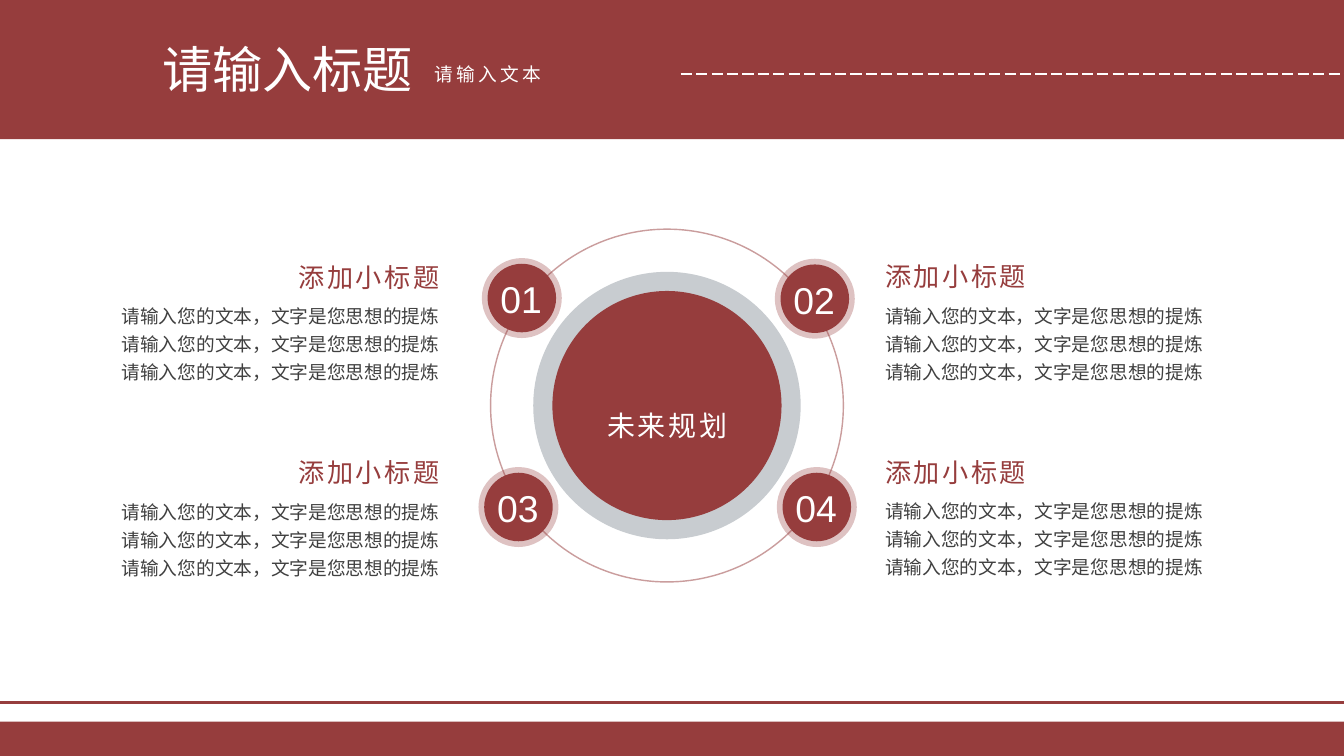
from lxml.etree import SubElement
from pptx import Presentation
from pptx.dml.color import RGBColor
from pptx.enum.dml import MSO_LINE
from pptx.enum.shapes import MSO_CONNECTOR, MSO_SHAPE
from pptx.enum.text import MSO_ANCHOR, MSO_AUTO_SIZE, PP_ALIGN
from pptx.oxml.ns import qn
from pptx.util import Emu, Pt

EMU_PER_PX = 9144
RED, GREY, WHITE, DARK = "963D3D", "C8CCD0", "FFFFFF", "404040"
CJK = "Noto Sans CJK SC"
HEADING = "添加小标题"
BODY = ["请输入您的文本，文字是您思想的提炼"] * 3
BADGES = [("01", 717, 384), ("03", 712, 695), ("02", 1153, 385), ("04", 1156, 695)]
BLOCKS = [(127, 381, True), (127, 672, True), (1317, 380, False), (1317, 671, False)]


def px(n):
    """Turn px into EMU."""
    return Emu(n * EMU_PER_PX)


def rgb(value):
    """Turn a hex string into a colour."""
    return RGBColor.from_string(value)


def add_solid(s, kind, x, y, w, h, fill=None, line=None, alpha=None):
    """Add a preset shape with a plain fill or outline."""
    sp = s.shapes.add_shape(kind, px(x), px(y), px(w), px(h))
    sp.shadow.inherit = False
    if fill:
        sp.fill.solid()
        sp.fill.fore_color.rgb = rgb(fill)
    else:
        sp.fill.background()
    if line:
        sp.line.color.rgb = rgb(line)
        sp.line.width = Pt(1.5)
    else:
        sp.line.fill.background()
    if alpha:
        for clr in sp._element.spPr.iter(qn("a:srgbClr")):
            SubElement(clr, qn("a:alpha"), val=str(alpha * 1000))


def add_circle(s, cx, cy, d, **style):
    """Add a circle around a centre."""
    add_solid(s, MSO_SHAPE.OVAL, cx - d / 2, cy - d / 2, d, d, **style)


def add_rule(s, x1, x2, y, color, width, dash=None):
    """Add a horizontal line."""
    ln = s.shapes.add_connector(MSO_CONNECTOR.STRAIGHT, px(x1), px(y), px(x2), px(y))
    ln.line.color.rgb = rgb(color)
    ln.line.width = Pt(width)
    if dash:
        ln.line.dash_style = dash
    SubElement(ln._element.spPr, qn("a:effectLst"))


def fill_text(sp, lines, size, leading, color, font="Calibri", align=PP_ALIGN.LEFT, spc=0):
    """Write the lines into a frame without margins."""
    tf = sp.text_frame
    tf.margin_left = tf.margin_top = tf.margin_right = tf.margin_bottom = 0
    tf.vertical_anchor = MSO_ANCHOR.TOP
    tf.word_wrap = True
    tf.auto_size = MSO_AUTO_SIZE.SHAPE_TO_FIT_TEXT
    for i, line in enumerate(lines):
        p = tf.add_paragraph() if i else tf.paragraphs[0]
        p.alignment = align
        p.line_spacing = Pt(leading)
        r = p.add_run()
        r.text = line
        r.font.size = Pt(size)
        r.font.color.rgb = rgb(color)
        r.font.name = font
        rPr = r._r.get_or_add_rPr()
        SubElement(rPr, qn("a:ea"), typeface=CJK)
        if spc:
            rPr.set("spc", str(round(spc * 100)))


def add_text(s, x, y, w, h, lines, *args, **style):
    """Add a text box."""
    sp = s.shapes.add_textbox(px(x), px(y), px(w), px(h))
    fill_text(sp, lines, *args, **style)


def add_header(s, x, y, w, h):
    """Build the title band."""
    add_solid(s, MSO_SHAPE.RECTANGLE, x, y, w, h, fill=RED)
    add_rule(s, x + 1013, x + w, y + 222, WHITE, 1.5, MSO_LINE.LONG_DASH)
    add_text(s, x + 647, y + 206, 359, 34, ["请输入文本"], 20, 24, WHITE, font=CJK, spc=3.5)
    title = s.shapes.title
    title.left, title.top, title.width, title.height = px(x + 242), px(y + 169), px(405), px(90)
    fill_text(title, ["请输入标题"], 53.7, 64.5, WHITE)
    s.shapes._spTree.append(title._element)


def add_footer(s, x, y, w, h):
    """Build the bottom band with its rule."""
    add_rule(s, x, x + w, y, RED, 3)
    add_solid(s, MSO_SHAPE.RECTANGLE, x, y + 28, w, h - 28, fill=RED)


def add_hub(s, x, y, d):
    """Build the orbit and the central disc."""
    cx, cy = x + d / 2, y + d / 2
    add_circle(s, cx, cy, d, line=RED, alpha=50)
    add_circle(s, cx, cy, 398, fill=GREY)
    add_circle(s, cx, cy, 341, fill=RED)
    add_text(s, x + 127, y + 254, 272, 58, ["未来规划"], 30, 45, WHITE,
             align=PP_ALIGN.CENTER, spc=3)


def add_badge(s, x, y, d, number):
    """Build a numbered disc with a pale rim."""
    cx, cy = x + d / 2, y + d / 2
    add_circle(s, cx, cy, d, fill=RED, alpha=31)
    add_circle(s, cx, cy, 102, fill=RED)
    add_text(s, x + 20, y + 38, 77, 57, [number], 40, 40, WHITE,
             font="Arial", align=PP_ALIGN.CENTER)


def add_block(s, x, y, w, on_left):
    """Build a heading with its text, aligned towards the hub."""
    head_w = 242
    head_x = x + w - head_w if on_left else x
    add_text(s, x, y + 65, w, 126, BODY, 20, 30, DARK,
             align=PP_ALIGN.RIGHT if on_left else PP_ALIGN.JUSTIFY)
    add_text(s, head_x, y, head_w, 55, [HEADING], 28, 39.2, RED,
             align=PP_ALIGN.RIGHT if on_left else PP_ALIGN.LEFT, spc=2.8)


def main():
    """Build the slide and save it."""
    prs = Presentation()
    prs.slide_width, prs.slide_height = px(2000), px(1125)
    s = prs.slides.add_slide(prs.slide_layouts[5])
    add_footer(s, -14, 1046, 2040, 142)
    add_header(s, 0, -112, 2026, 319)
    add_hub(s, 730, 341, 525)
    for number, x, y in BADGES:
        add_badge(s, x, y, 119, number)
    for x, y, on_left in BLOCKS:
        add_block(s, x, y, 527, on_left)
    prs.save("out.pptx")


if __name__ == "__main__":
    main()
